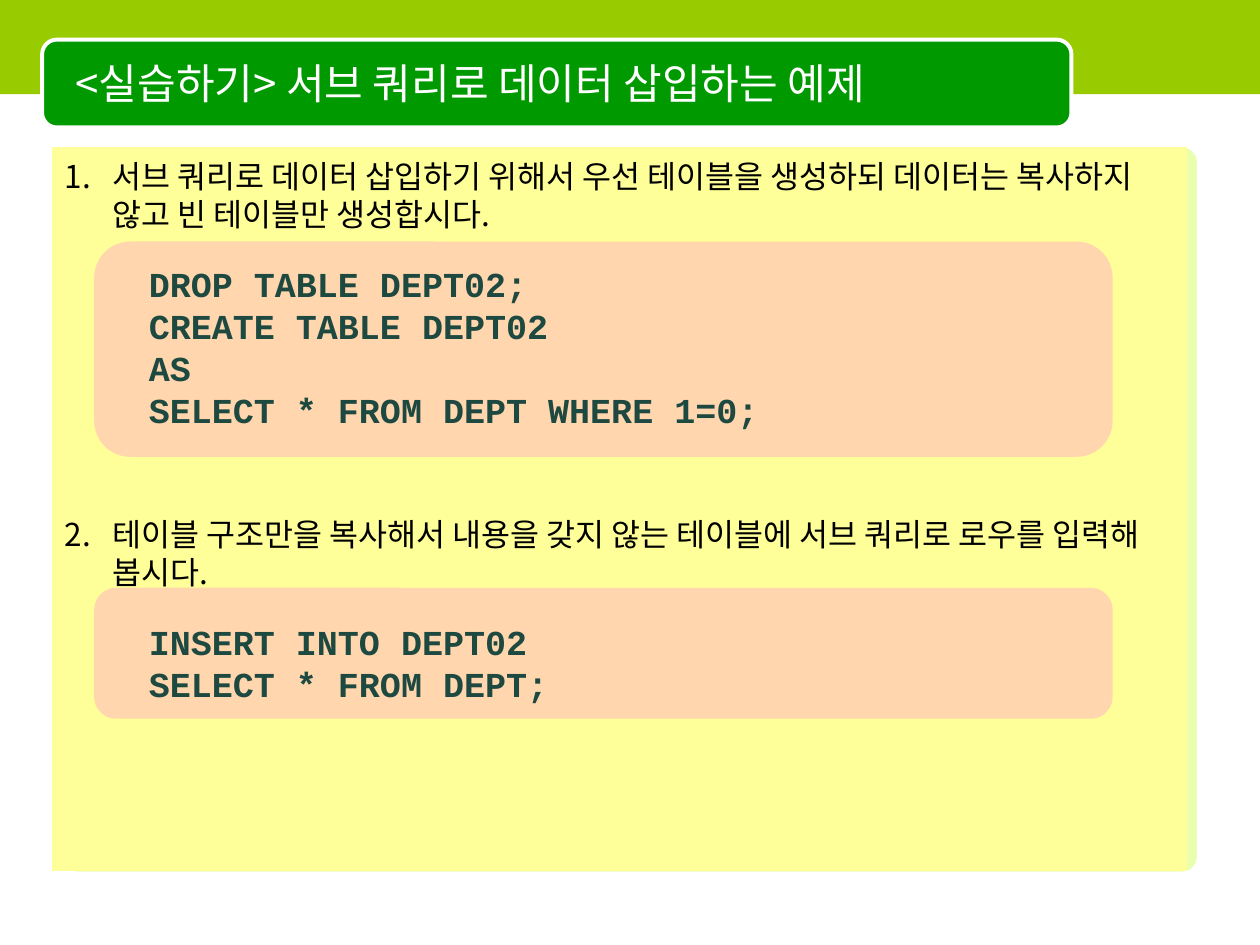
from typing import NamedTuple, Optional

from lxml.etree import SubElement
from pptx import Presentation
from pptx.dml.color import RGBColor
from pptx.enum.shapes import MSO_SHAPE as Kind
from pptx.enum.text import MSO_ANCHOR as Anchor, MSO_AUTO_SIZE as Fit, PP_ALIGN as Align
from pptx.oxml.ns import qn
from pptx.util import Cm, Pt

LIME = RGBColor(0x99, 0xCC, 0x00)
GREEN = RGBColor(0x00, 0x99, 0x00)
PALE = RGBColor(0xCC, 0xFF, 0x33)
YELLOW = RGBColor(0xFF, 0xFF, 0x99)
PINK = RGBColor(0xFF, 0x99, 0xCC)
TEAL = RGBColor(0x1D, 0x49, 0x40)
WHITE = RGBColor(0xFF, 0xFF, 0xFF)
BLACK = RGBColor(0x00, 0x00, 0x00)

KOREAN = "Noto Sans CJK KR"
MONO = "Courier New"


class Box(NamedTuple):
    left: float
    top: float
    width: float
    height: float

    def lengths(self) -> list:
        return [Cm(n) for n in self]


class Panel(NamedTuple):
    box: Box
    fill: RGBColor
    radius: Optional[float] = None
    alpha: Optional[int] = None
    line: Optional[RGBColor] = None
    weight: float = 0.75


class Code(NamedTuple):
    top: float
    height: float
    text_top: float
    lines: list


class Step(NamedTuple):
    text: str
    gap: float


BANDS = [
    Panel(Box(1.27, 2.97, 22.86, 14.6), PALE, radius=0.021, alpha=40),
    Panel(Box(0, 0, 25.4, 1.9), LIME),
    Panel(Box(0.85, 0.8, 20.75, 1.77), GREEN, radius=0.167, line=WHITE, weight=2.25),
]
BODY = Panel(Box(1.06, 2.97, 22.86, 14.58), YELLOW, line=YELLOW)
STEPS = [
    Step("서브 쿼리로 데이터 삽입하기 위해서 우선 테이블을 생성하되 "
         "데이터는 복사하지 않고 빈 테이블만 생성합시다.", 0),
    Step("테이블 구조만을 복사해서 내용을 갖지 않는 테이블에 "
         "서브 쿼리로 로우를 입력해 봅시다.", 161),
]
CODES = [
    Code(4.87, 4.34, 5.08, ["DROP TABLE DEPT02;", "CREATE TABLE DEPT02", "AS",
                            "SELECT * FROM DEPT WHERE 1=0;"]),
    Code(11.85, 2.64, 12.28, ["INSERT INTO DEPT02", "SELECT * FROM DEPT;"]),
]


def draw(shapes, panel: Panel):
    kind = Kind.RECTANGLE if panel.radius is None else Kind.ROUNDED_RECTANGLE
    shape = shapes.add_shape(kind, *panel.box.lengths())
    shape.shadow.inherit = False
    if panel.radius is not None:
        shape.adjustments[0] = panel.radius
    shape.fill.solid()
    shape.fill.fore_color.rgb = panel.fill
    if panel.alpha is not None:
        tint = shape.fill._xPr.find(qn("a:solidFill"))[0]
        SubElement(tint, qn("a:alpha"), val=str(panel.alpha * 1000))
    if panel.line is None:
        shape.line.fill.background()
    else:
        shape.line.color.rgb = panel.line
        shape.line.width = Pt(panel.weight)
    return shape


def style(para, font: str, size: int, color: RGBColor, bold: bool = False) -> None:
    para.alignment = Align.LEFT
    for run in para.runs:
        run.font.name = font
        run.font.size = Pt(size)
        run.font.bold = bold
        run.font.color.rgb = color
        SubElement(run.font._element, qn("a:ea"), typeface=font)


def number(para, start: int) -> None:
    """Give the paragraph a hanging automatic number."""
    props = para._p.get_or_add_pPr()
    props.set("marL", str(Cm(0.96)))
    props.set("indent", str(Cm(-0.96)))
    SubElement(props, qn("a:buFont"), typeface=KOREAN)
    SubElement(props, qn("a:buAutoNum"), type="arabicPeriod", startAt=str(start))


def put_title(slide) -> None:
    title = slide.shapes.title
    title.left, title.top, title.width, title.height = Box(1.27, 0.89, 20.12, 1.57).lengths()
    frame = title.text_frame
    frame.text = "<실습하기> 서브 쿼리로 데이터 삽입하는 예제"
    frame.auto_size = Fit.NONE
    frame.vertical_anchor = Anchor.MIDDLE
    style(frame.paragraphs[0], KOREAN, 24, WHITE)
    slide.shapes._spTree.append(title._element)  # in front of the bands


def put_steps(shapes) -> None:
    frame = draw(shapes, BODY).text_frame
    frame.word_wrap = True
    frame.vertical_anchor = Anchor.TOP
    frame.margin_top = Cm(0.2)
    frame.text = "\n".join(step.text for step in STEPS)
    for count, (para, step) in enumerate(zip(frame.paragraphs, STEPS), 1):
        style(para, KOREAN, 18, BLACK)
        para.line_spacing = Pt(21.7)
        para.space_before = Pt(step.gap)
        number(para, count)


def put_code(shapes, code: Code) -> None:
    draw(shapes, Panel(Box(1.9, code.top, 20.53, code.height), PINK, radius=0.167, alpha=40))
    height = 0.25 + 0.85 * len(code.lines)
    frame = shapes.add_textbox(*Box(2.75, code.text_top, 18.85, height).lengths()).text_frame
    frame.word_wrap = True
    frame.margin_top = Cm(0.22)
    frame.text = "\n".join(code.lines)
    for para in frame.paragraphs:
        style(para, MONO, 20, TEAL, bold=True)
        para.line_spacing = Pt(24)


def main() -> None:
    deck = Presentation()
    deck.slide_width, deck.slide_height = Cm(25.4), Cm(19.05)
    slide = deck.slides.add_slide(deck.slide_layouts[5])
    for band in BANDS:
        draw(slide.shapes, band)
    put_title(slide)
    put_steps(slide.shapes)
    for code in CODES:
        put_code(slide.shapes, code)
    deck.save("out.pptx")


if __name__ == "__main__":
    main()
